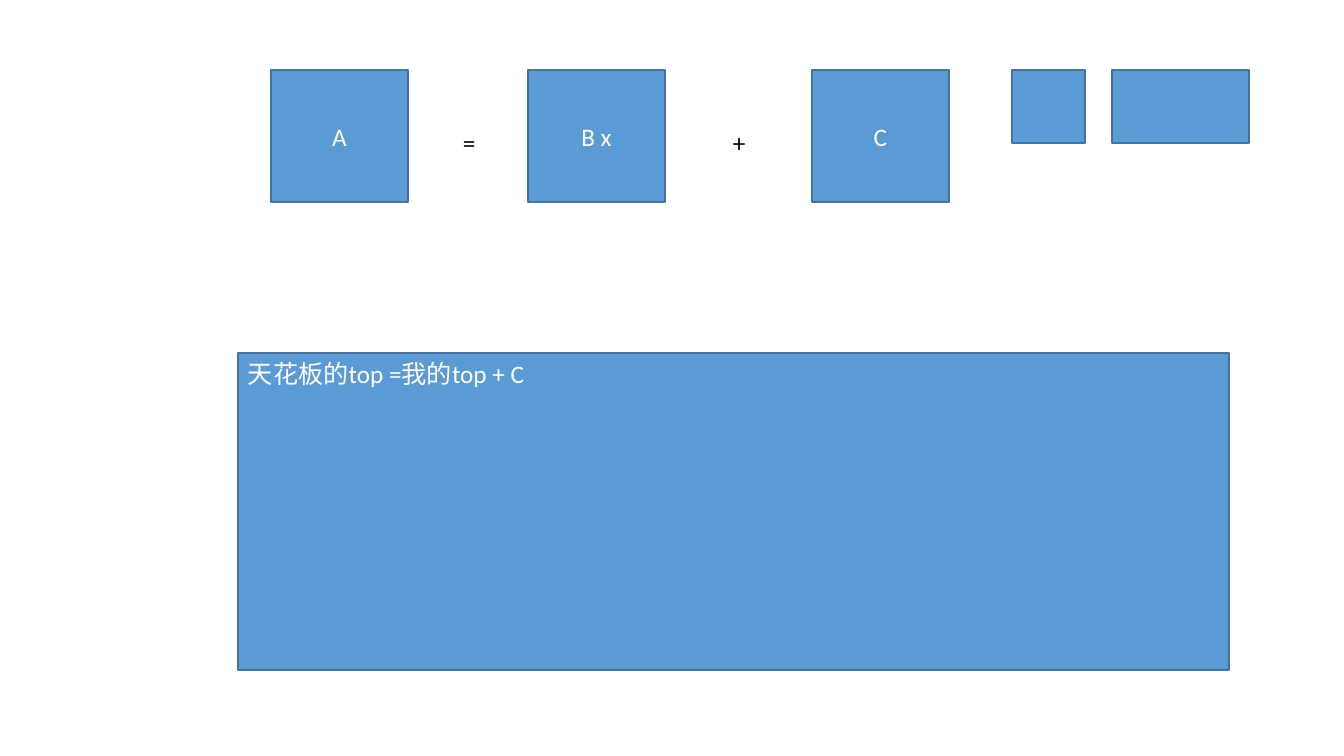
from pptx import Presentation
from pptx.dml.color import RGBColor
from pptx.enum import shapes, text
from pptx.util import Emu, Pt

COLORS = {"fill": "5B9BD5", "line": "43739E", "light": "FFFFFF", "dark": "000000"}
FONT, SIZE = "Calibri", 18
EMU_PER_PIXEL = 914400 / 100.8

ROW_TOP, BLOCK_WIDTH, BLOCK_HEIGHT, SMALL = 70, 137, 132, 73
TERMS = [("A", 271), ("B x", 528), ("C", 812)]
OPERATORS = [("=", 453), ("+", 723)]
OPERATOR_TOP, OPERATOR_SIZE = 122, (33, 40)
SPARE_BLOCKS = [(1012, SMALL), (1112, BLOCK_WIDTH)]
NOTE = ("天花板的top =我的top + C", (238, 353, 991, 317))


def px(length):
    """Turn pixels into EMU."""
    return Emu(round(length * EMU_PER_PIXEL))


def color(name):
    """Look up a named colour."""
    return RGBColor.from_string(COLORS[name])


def write(shape, words, ink, align, anchor):
    """Put one styled paragraph into a shape."""
    frame = shape.text_frame
    frame.vertical_anchor = anchor
    para = frame.paragraphs[0]
    para.text = words
    para.alignment = align
    para.font.name, para.font.size = FONT, Pt(SIZE)
    para.font.color.rgb = color(ink)


def add_block(page, bounds, words="", align=text.PP_ALIGN.CENTER,
              anchor=text.MSO_ANCHOR.MIDDLE):
    """Add a blue rectangle, with text if given."""
    block = page.shapes.add_shape(shapes.MSO_SHAPE.RECTANGLE, *map(px, bounds))
    block.shadow.inherit = False
    block.fill.solid()
    block.fill.fore_color.rgb = color("fill")
    block.line.color.rgb = color("line")
    block.line.width = Pt(1)
    if words:
        write(block, words, "light", align, anchor)


def add_operator(page, sign, left):
    """Add an operator sign between two terms."""
    box = page.shapes.add_textbox(*map(px, (left, OPERATOR_TOP, *OPERATOR_SIZE)))
    box.text_frame.word_wrap = False
    box.text_frame.auto_size = text.MSO_AUTO_SIZE.SHAPE_TO_FIT_TEXT
    write(box, sign, "dark", text.PP_ALIGN.LEFT, text.MSO_ANCHOR.TOP)


deck = Presentation()
deck.slide_width, deck.slide_height = px(1344), px(756)
page = deck.slides.add_slide(deck.slide_layouts[6])

for term, left in TERMS:
    add_block(page, (left, ROW_TOP, BLOCK_WIDTH, BLOCK_HEIGHT), term)
for sign, left in OPERATORS:
    add_operator(page, sign, left)
for left, width in SPARE_BLOCKS:
    add_block(page, (left, ROW_TOP, width, SMALL))
words, bounds = NOTE
add_block(page, bounds, words, text.PP_ALIGN.LEFT, text.MSO_ANCHOR.TOP)

deck.save("out.pptx")
